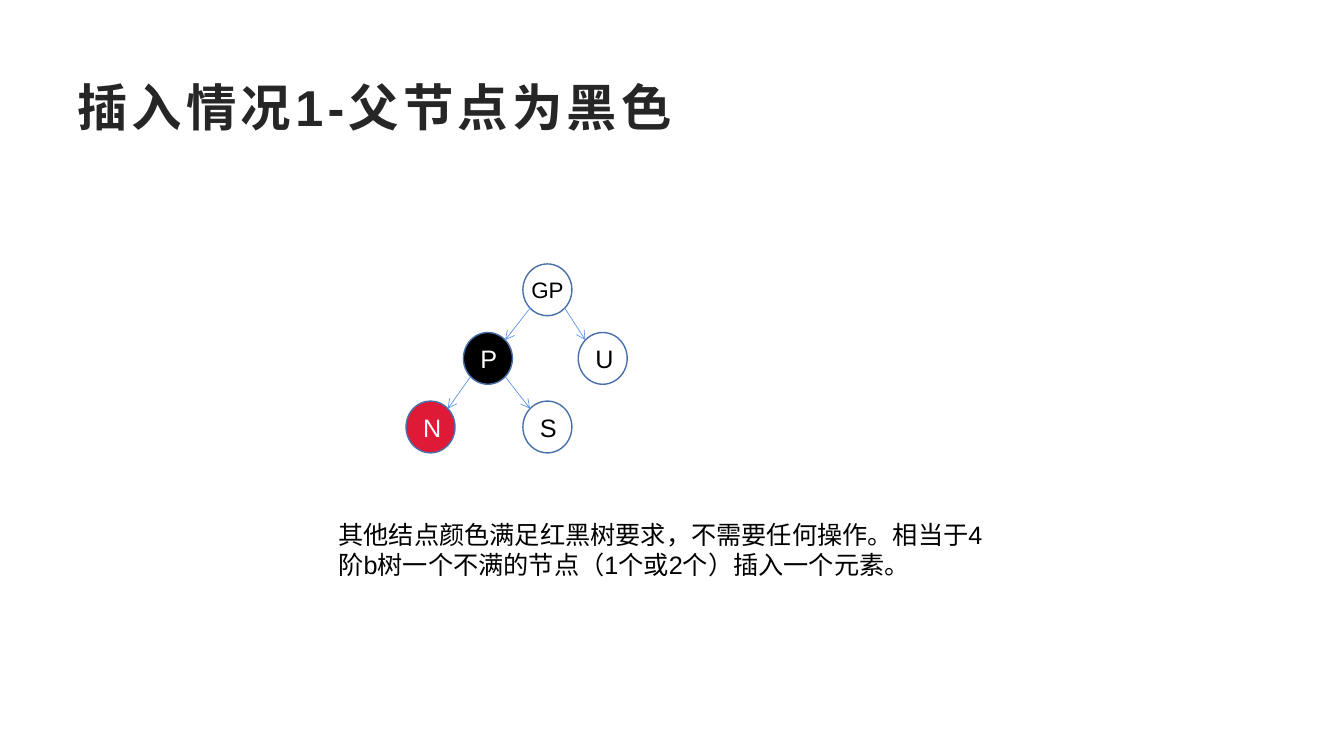
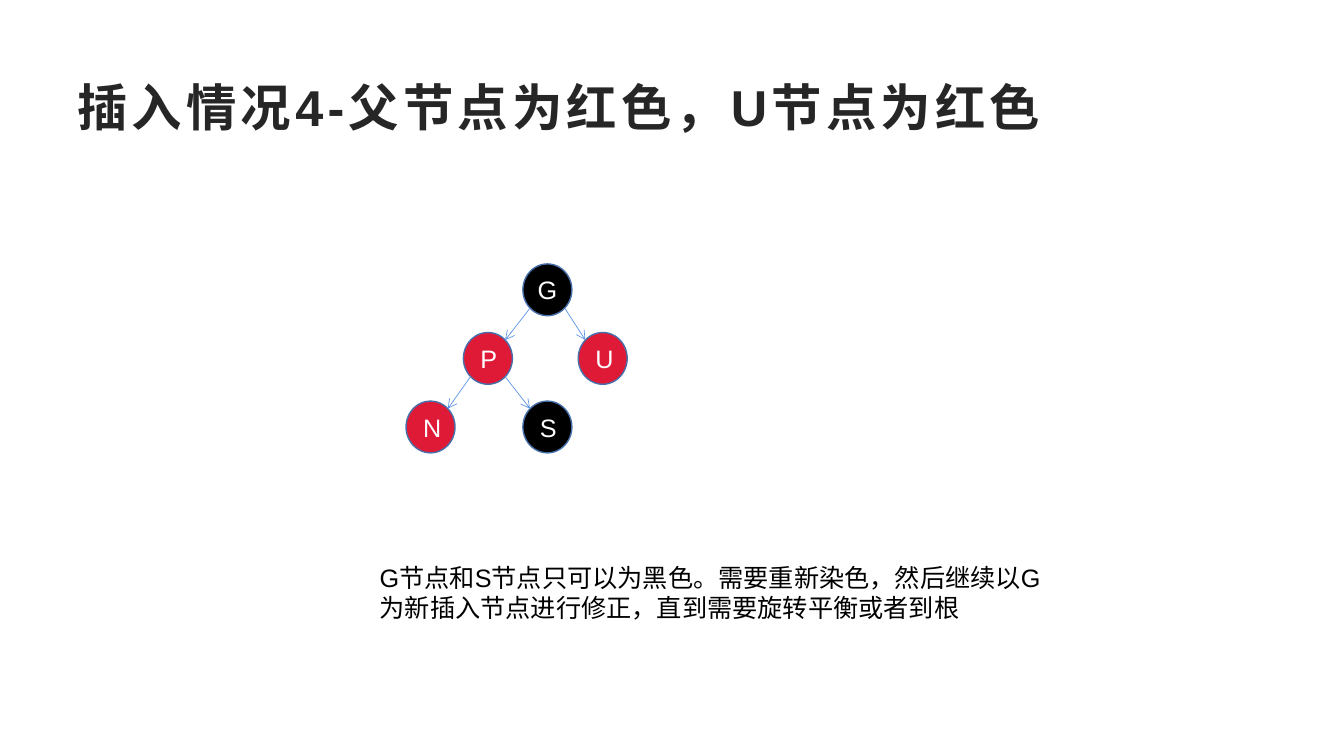
from math import copysign, sqrt

from lxml import etree
from pptx import Presentation
from pptx.dml.color import RGBColor
from pptx.enum import shapes, text
from pptx.oxml import ns
from pptx.util import Pt

WHITE = RGBColor(0xFF, 0xFF, 0xFF)
BLACK = RGBColor(0x00, 0x00, 0x00)
RED = RGBColor(0xDE, 0x1A, 0x37)
TITLE_GREY = RGBColor(0x26, 0x26, 0x26)
OUTLINE = RGBColor(0x47, 0x6F, 0xAA)
ARROW = RGBColor(0x60, 0x96, 0xE6)
FONT = "Arial"

NODE_WIDTH, NODE_HEIGHT = 35, 37
TOP_ROW, ROW_STEP = 207, 49
CENTRES = {
    "grandparent": (391, TOP_ROW),
    "parent": (348.5, TOP_ROW + ROW_STEP),
    "uncle": (430.5, TOP_ROW + ROW_STEP),
    "new": (307.5, TOP_ROW + 2 * ROW_STEP),
    "sibling": (391, TOP_ROW + 2 * ROW_STEP),
}
EDGES = [
    ("grandparent", "parent"),
    ("grandparent", "uncle"),
    ("parent", "new"),
    ("parent", "sibling"),
]

CASES = [
    {
        "title": "插入情况1-父节点为黑色",
        "nodes": {
            "grandparent": ("GP", WHITE, 16),
            "parent": ("P", BLACK, 18),
            "uncle": ("U", WHITE, 18),
            "new": ("N", RED, 18),
            "sibling": ("S", WHITE, 18),
        },
        "note": "其他结点颜色满足红黑树要求，不需要任何操作。相当于4阶b树一个不满的节点（1个或2个）插入一个元素。",
        "note_at": (234.7, 367.2),
    },
    {
        "title": "插入情况4-父节点为红色，U节点为红色",
        "nodes": {
            "grandparent": ("G", BLACK, 18),
            "parent": ("P", RED, 18),
            "uncle": ("U", RED, 18),
            "new": ("N", RED, 18),
            "sibling": ("S", BLACK, 18),
        },
        "note": "G节点和S节点只可以为黑色。需要重新染色，然后继续以G为新插入节点进行修正，直到需要旋转平衡或者到根",
        "note_at": (264.2, 398.2),
    },
]


def write(shape, content, size, color, bold=False):
    shape.text_frame.text = content
    shape.text_frame.word_wrap = True
    run = shape.text_frame.paragraphs[0].runs[0]
    run.font.name = FONT
    run.font.size = Pt(size)
    run.font.color.rgb = color
    run.font.bold = bold
    return run


def add_text(slide, box, content, size, color, bold=False):
    shape = slide.shapes.add_textbox(*map(Pt, box))
    return shape, write(shape, content, size, color, bold)


def add_title(slide, content):
    shape, run = add_text(slide, (48, 48, 864, 55.5), content, 36, TITLE_GREY, True)
    shape.text_frame.vertical_anchor = text.MSO_ANCHOR.MIDDLE
    run.font._element.set("spc", "300")


def add_node(slide, role, label, fill, size):
    x, y = CENTRES[role]
    box = (x - NODE_WIDTH / 2, y - NODE_HEIGHT / 2, NODE_WIDTH, NODE_HEIGHT)
    shape = slide.shapes.add_shape(shapes.MSO_SHAPE.OVAL, *map(Pt, box))
    shape.shadow.inherit = False
    shape.fill.solid()
    shape.fill.fore_color.rgb = fill
    shape.line.color.rgb = OUTLINE
    shape.line.width = Pt(1)
    write(shape, label, size, BLACK if fill == WHITE else WHITE)
    frame = shape.text_frame
    frame.vertical_anchor = text.MSO_ANCHOR.MIDDLE
    frame.paragraphs[0].alignment = text.PP_ALIGN.CENTER
    if role == "grandparent":
        frame.margin_left = frame.margin_right = 0
        frame.margin_top = frame.margin_bottom = 0


def add_edge(slide, start, end):
    (x1, y1), (x2, y2) = CENTRES[start], CENTRES[end]
    dx = copysign(NODE_WIDTH / 2 / sqrt(2), x2 - x1)
    dy = NODE_HEIGHT / 2 / sqrt(2)
    points = (x1 + dx, y1 + dy, x2 - dx, y2 - dy)
    connector = slide.shapes.add_connector(
        shapes.MSO_CONNECTOR.STRAIGHT, *map(Pt, points)
    )
    connector.line.color.rgb = ARROW
    connector.line.width = Pt(0.5)
    properties = connector._element.spPr
    line = properties.find(ns.qn("a:ln"))
    etree.SubElement(line, ns.qn("a:tailEnd"), type="arrow")
    etree.SubElement(properties, ns.qn("a:effectLst"))


def add_case(presentation, case):
    slide = presentation.slides.add_slide(presentation.slide_layouts[6])
    add_title(slide, case["title"])
    for role, node in case["nodes"].items():
        add_node(slide, role, *node)
    for start, end in EDGES:
        add_edge(slide, start, end)
    add_text(slide, (*case["note_at"], 489.6, 51), case["note"], 18, BLACK)


def main():
    presentation = Presentation()
    presentation.slide_width = Pt(960)
    presentation.slide_height = Pt(540)
    for case in CASES:
        add_case(presentation, case)
    presentation.save("out.pptx")


if __name__ == "__main__":
    main()
